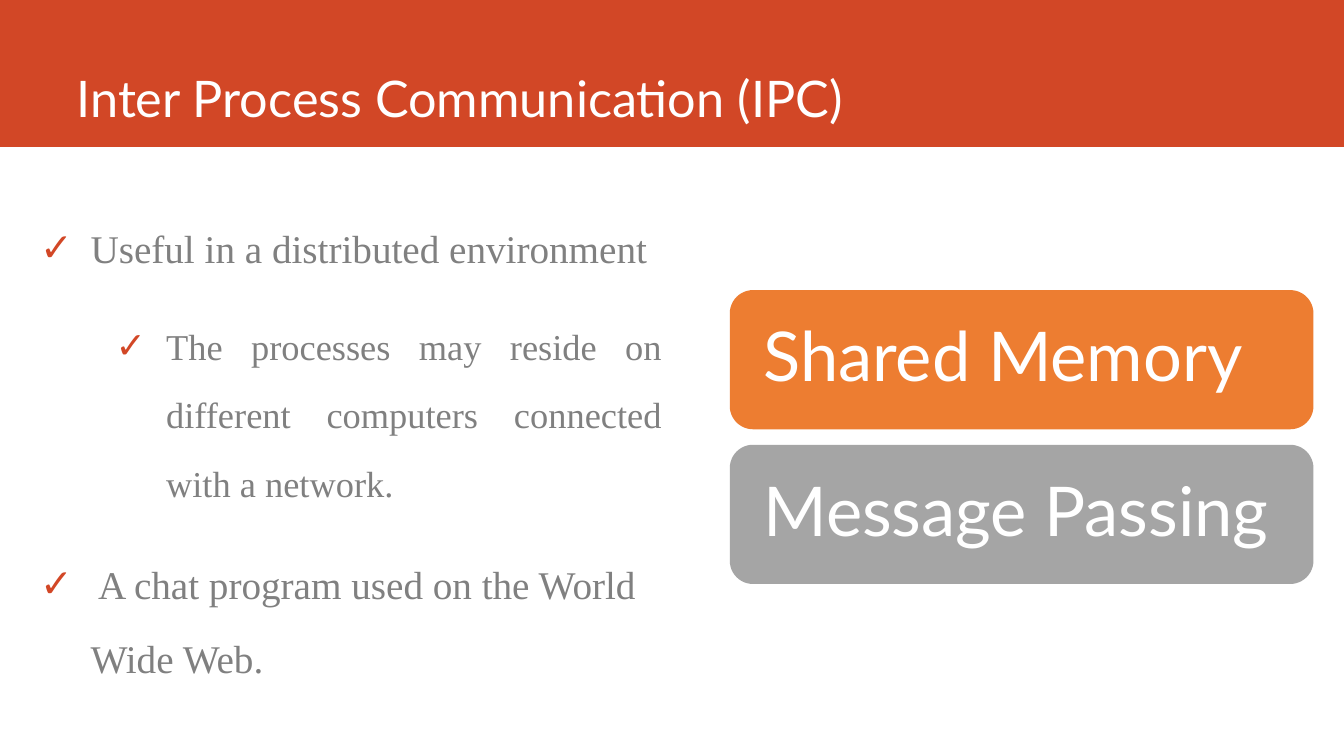
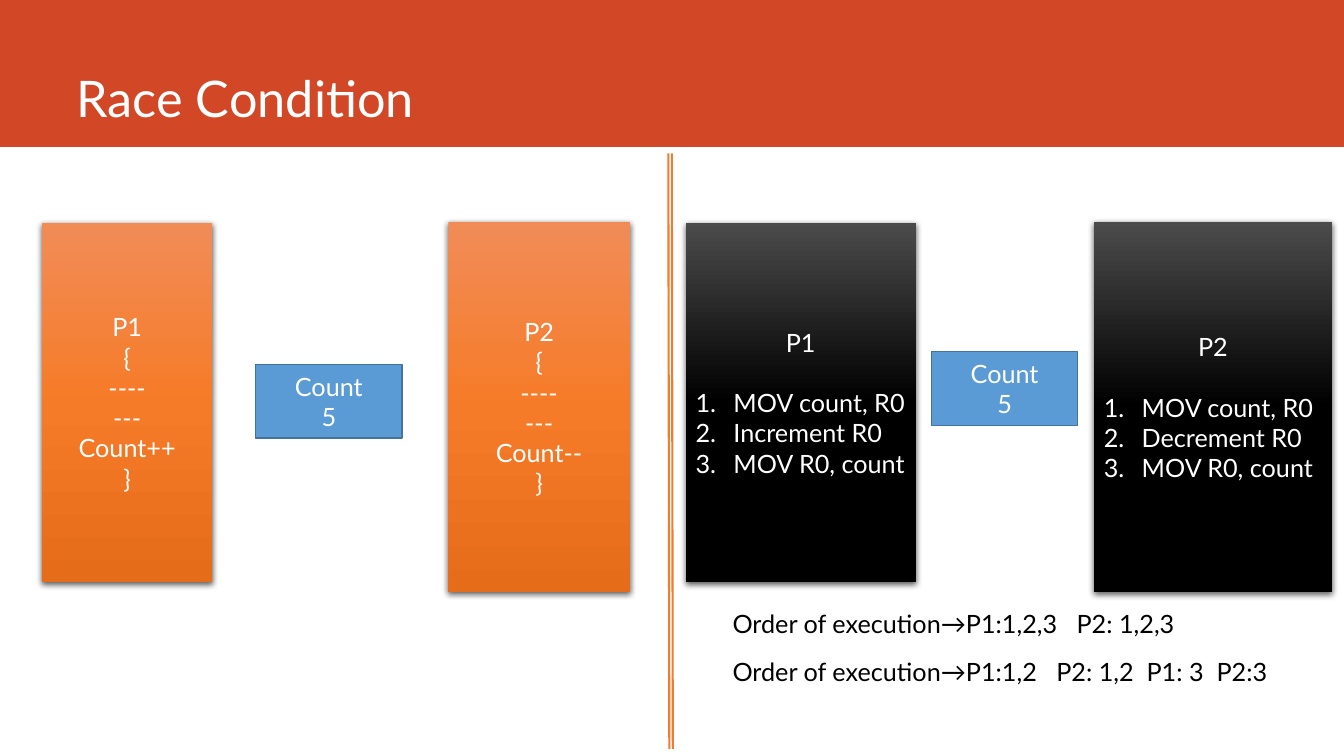
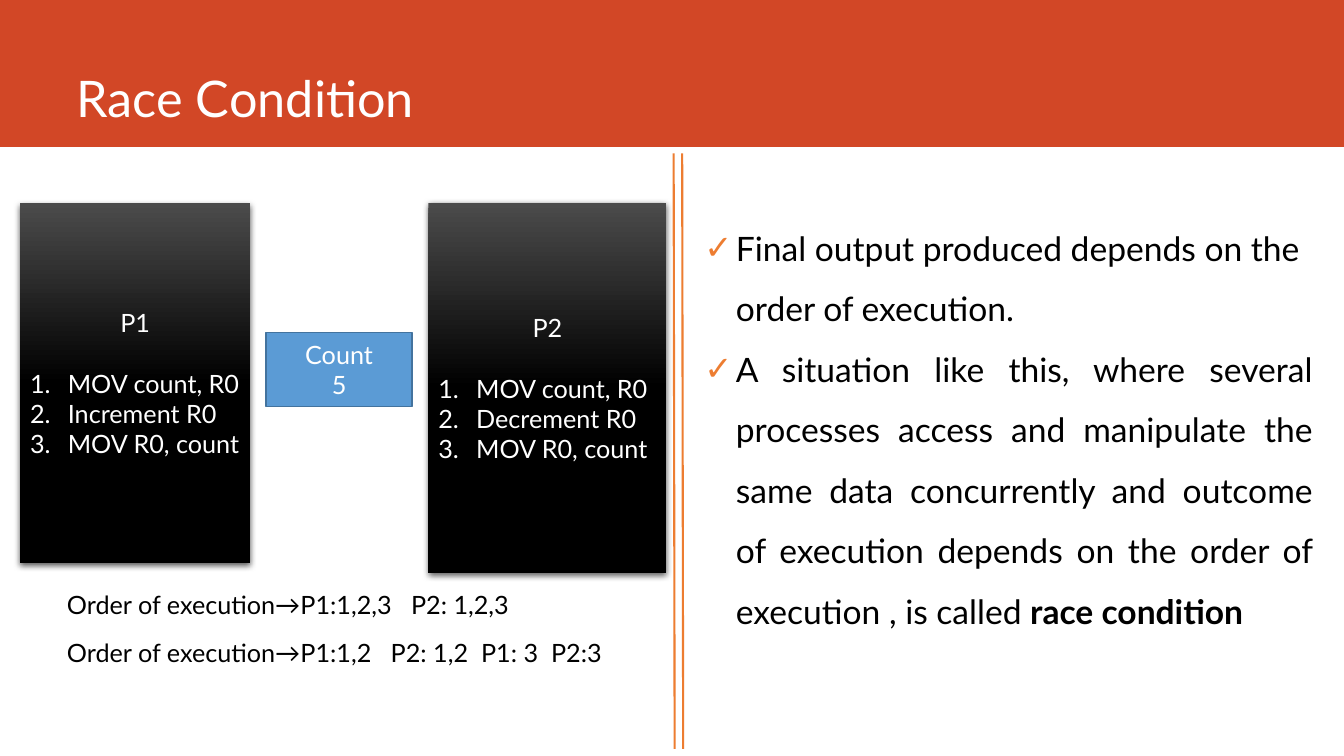
import pptx
import pptx.dml.color
import pptx.enum.shapes
import pptx.enum.text
import pptx.oxml.ns
import pptx.util
from lxml import etree

Pt = pptx.util.Pt
qn = pptx.oxml.ns.qn
ALIGN = pptx.enum.text.PP_ALIGN
ANCHOR = pptx.enum.text.MSO_ANCHOR
SHAPE = pptx.enum.shapes.MSO_SHAPE

COLORS = {
    "band": "D24726", "white": "FFFFFF", "black": "000000", "gray": "808080",
    "orange": "ED7D31", "silver": "A5A5A5", "blue": "5B9BD5", "blue_line": "43739E",
}
GRADIENTS = {
    "orange": [(0, "F18C57"), (50, "F67B28"), (100, "E56C19")],
    "black": [(0, "4B4B4B"), (50, "000000"), (100, "000000")],
}
WIDTH, HEIGHT = 960, 540
LOAD, STORE = "MOV count, R0", "MOV R0, count"
ORDERS = [
    "Order of execution→P1:1,2,3   P2: 1,2,3",
    "Order of execution→P1:1,2   P2: 1,2  P1: 3  P2:3",
]


def rgb(name):
    return pptx.dml.color.RGBColor.from_string(COLORS[name])


def add_xml(parent, tag, **attributes):
    return etree.SubElement(parent, qn(tag), attributes)


class Deck:
    font = "Lato"

    def __init__(self):
        self.presentation = pptx.Presentation()
        self.presentation.slide_width = Pt(WIDTH)
        self.presentation.slide_height = Pt(HEIGHT)
        self.slide = None

    def new_slide(self, title_text):
        self.slide = self.presentation.slides.add_slide(self.presentation.slide_layouts[5])
        title = self.slide.shapes.title
        title.left, title.top, title.width, title.height = Pt(47.5), Pt(0), Pt(846.7), Pt(95)
        frame = title.text_frame
        frame.auto_size = pptx.enum.text.MSO_AUTO_SIZE.NONE
        frame.vertical_anchor = ANCHOR.BOTTOM
        self.paragraph(frame, title_text, size=36, color="white")
        band = self.box(0, 0, WIDTH, 105, "band")
        title._element.addprevious(band._element)

    def paragraph(self, frame, text, size=18, color="black", align=ALIGN.LEFT,
                  font=None, bold_tail=""):
        """Fill the frame's first paragraph, or add one after it."""
        paragraph = frame.paragraphs[0]
        if paragraph.runs:
            paragraph = frame.add_paragraph()
        paragraph.alignment = align
        paragraph.font.size = Pt(size)
        paragraph.font.name = font or self.font
        paragraph.font.color.rgb = rgb(color)
        paragraph.add_run().text = text
        if bold_tail:
            run = paragraph.add_run()
            run.text = bold_tail
            run.font.bold = True
        return paragraph

    def bullet(self, paragraph, left, hanging, color=None):
        """Give a check mark in the colour, or a number if there is none."""
        properties = paragraph._p.get_or_add_pPr()
        properties.set("marL", str(Pt(left)))
        properties.set("indent", str(-Pt(hanging)))
        if color:
            fill = add_xml(properties, "a:buClr")
            add_xml(fill, "a:srgbClr", val=COLORS[color])
            add_xml(properties, "a:buFont", typeface="Arial")
            add_xml(properties, "a:buChar", char="✓")
        else:
            add_xml(properties, "a:buFont", typeface="+mj-lt")
            add_xml(properties, "a:buAutoNum", type="arabicPeriod")
        properties.append(properties.find(qn("a:defRPr")))

    def box(self, left, top, width, height, fill, kind=SHAPE.RECTANGLE):
        shape = self.slide.shapes.add_shape(kind, Pt(left), Pt(top), Pt(width), Pt(height))
        shape.shadow.inherit = False
        shape.fill.solid()
        shape.fill.fore_color.rgb = rgb(fill)
        shape.line.fill.background()
        shape.text_frame.vertical_anchor = ANCHOR.MIDDLE
        return shape

    def text_box(self, left, top, width, height):
        box = self.slide.shapes.add_textbox(Pt(left), Pt(top), Pt(width), Pt(height))
        box.text_frame.word_wrap = True
        return box.text_frame

    def mechanism(self, top, text, fill):
        frame = self.box(521.3, top, 416.9, 99.4, fill, SHAPE.ROUNDED_RECTANGLE).text_frame
        frame.margin_left = frame.margin_right = Pt(19.2)
        self.paragraph(frame, text, size=49, color="white").line_spacing = 0.9

    def process(self, left, top, width, height, gradient, lines, steps=()):
        """Draw a shaded block with centred lines and numbered steps."""
        shape = self.box(left, top, width, height, "black")
        shape.fill.gradient()
        shape.fill.gradient_angle = 270
        stops = shape._element.spPr.find(".//" + qn("a:gsLst"))
        stops.clear()
        for position, color in GRADIENTS[gradient]:
            stop = add_xml(stops, "a:gs", pos=str(position * 1000))
            add_xml(stop, "a:srgbClr", val=color)
        effects = shape._element.spPr.find(qn("a:effectLst"))
        shadow = add_xml(effects, "a:outerShdw", blurRad=str(Pt(4.5)), dist=str(Pt(1.5)),
                         dir="5400000", algn="ctr", rotWithShape="0")
        shadow_color = add_xml(shadow, "a:srgbClr", val=COLORS["black"])
        add_xml(shadow_color, "a:alpha", val="63000")
        frame = shape.text_frame
        for line in lines:
            paragraph = self.paragraph(frame, line, color="white", align=ALIGN.CENTER)
        if steps:
            paragraph.space_after = Pt(21.6)
        for step in steps:
            self.bullet(self.paragraph(frame, step, color="white"), 27, 27)

    def counter(self, left, top):
        shape = self.box(left, top, 104.4, 52.6, "blue")
        shape.line.color.rgb = rgb("blue_line")
        shape.line.width = Pt(1)
        for line in ("Count", "5"):
            self.paragraph(shape.text_frame, line, color="white", align=ALIGN.CENTER)

    def race(self, left, top):
        """Draw both instruction lists, the shared counter and the two orders."""
        self.process(left, top, 164.4, 257, "black", ["P1"], [LOAD, "Increment R0", STORE])
        self.process(left + 291.6, top - 0.4, 170, 264.4, "black", ["P2"],
                     [LOAD, "Decrement R0", STORE])
        self.counter(left + 175.6, top + 92.3)
        for index, order in enumerate(ORDERS):
            frame = self.text_box(left + 26.4, top + 271.8 + 34.3 * index, 404, 29)
            self.paragraph(frame, order)

    def divider(self, *lefts):
        for left in lefts:
            line = self.slide.shapes.add_connector(
                pptx.enum.shapes.MSO_CONNECTOR.STRAIGHT,
                Pt(left), Pt(109.5), Pt(left + 0.7), Pt(535))
            line.line.color.rgb = rgb("orange")
            line.line.width = Pt(1.5)
            add_xml(line._element.spPr, "a:effectLst")


def communication_slide(deck):
    deck.new_slide("Inter Process Communication (IPC)")
    frame = deck.text_box(21.6, 137.5, 458.6, 348.5)
    for text, size, left, align in [
        ("Useful in a distributed environment", 28, 36, ALIGN.JUSTIFY),
        ("The processes may reside on different computers connected with a network.",
         26, 90, ALIGN.JUSTIFY),
        (" A chat program used on the World Wide Web.", 28, 36, ALIGN.LEFT),
    ]:
        paragraph = deck.paragraph(frame, text, size, "gray", align, "Times New Roman")
        paragraph.line_spacing = 1.57
        paragraph.space_before = Pt(size * 0.3)
        paragraph.space_after = Pt(12)
        deck.bullet(paragraph, left, 36, "band")
    deck.mechanism(207.2, "Shared Memory", "orange")
    deck.mechanism(317.7, "Message Passing", "silver")


def race_slide(deck):
    deck.new_slide("Race Condition")
    deck.process(30, 159, 121.7, 257, "orange", ["P1", "{", "----", "---", "Count++", "}"])
    deck.process(320.2, 158.6, 129.8, 264.4, "orange",
                 ["P2", "{", "----", "---", "Count--", "}"])
    deck.counter(182.7, 260.2)
    deck.race(489.8, 159)
    deck.divider(477.4, 479.9)


def definition_slide(deck):
    deck.new_slide("Race Condition")
    deck.race(14.4, 145.3)
    deck.divider(481.2, 487.3)
    frame = deck.text_box(496.1, 144.7, 448.6, 312.5)
    for text, align, tail in [
        ("Final output produced depends on the order of execution.", ALIGN.LEFT, ""),
        ("A situation like this, where several processes access and manipulate the same "
         "data concurrently and outcome of execution depends on the order of execution , "
         "is called ", ALIGN.JUSTIFY, "race condition"),
    ]:
        paragraph = deck.paragraph(frame, text, 24, align=align, bold_tail=tail)
        paragraph.line_spacing = 1.5
        deck.bullet(paragraph, 22.5, 22.5, "orange")


def main():
    deck = Deck()
    communication_slide(deck)
    race_slide(deck)
    definition_slide(deck)
    deck.presentation.save("out.pptx")


if __name__ == "__main__":
    main()
